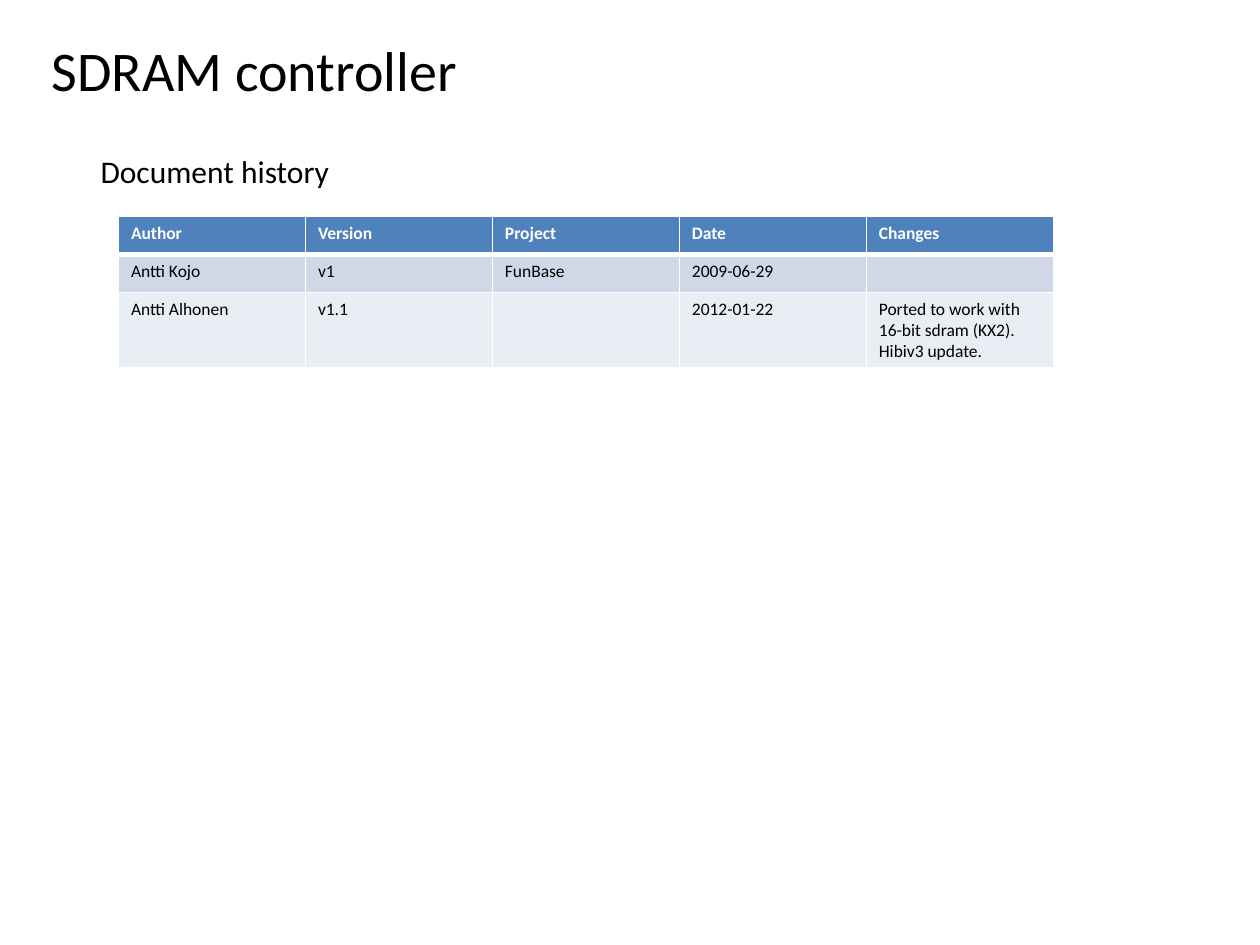
"""Build the SDRAM controller slide with its document history table."""
from lxml.etree import SubElement
from pptx import Presentation
from pptx.dml.color import RGBColor
from pptx.enum.text import MSO_ANCHOR, MSO_AUTO_SIZE, PP_ALIGN
from pptx.oxml.ns import qn
from pptx.util import Inches, Pt


def rgb(value):
    return RGBColor.from_string(value)


def add_run(p, text, size, color="000000", bold=False):
    r = p.add_run()
    r.text = text
    r.font.name = "Calibri"
    r.font.size = Pt(size)
    r.font.bold = bold
    r.font.color.rgb = rgb(color)


prs = Presentation()
prs.slide_width, prs.slide_height = Inches(10), Inches(7.5)
s = prs.slides.add_slide(prs.slide_layouts[5])

history = [
    ["Author", "Version", "Project", "Date", "Changes"],
    ["Antti Kojo", "v1", "FunBase", "2009-06-29", ""],
    ["Antti Alhonen", "v1.1", "", "2012-01-22",
     "Ported to work with 16-bit sdram (KX2). Hibiv3 update."],
]
fills = ["4F81BD", "D0D8E8", "E9EDF4"]
rows, cols = len(history), len(history[0])
table_w, row_h = Inches(7.42), Inches(0.3)

frame = s.shapes.add_table(
    rows, cols, Inches(0.94), Inches(1.72), table_w, row_h * rows)
table = frame.table
for i, values in enumerate(history):
    header = i == 0
    for j, value in enumerate(values):
        cell = table.cell(i, j)
        p = cell.text_frame.paragraphs[0]
        if value:
            add_run(p, value, 10, "FFFFFF" if header else "000000", header)
        else:
            SubElement(p._p, qn("a:endParaRPr"), sz="1000")
        tcPr = cell._tc.get_or_add_tcPr()
        for side in ("L", "R", "T", "B"):
            thick = (header and side == "B") or (i == 1 and side == "T")
            ln = SubElement(tcPr, qn(f"a:ln{side}"), w=str(Pt(3 if thick else 1)))
            fill = SubElement(ln, qn("a:solidFill"))
            SubElement(fill, qn("a:srgbClr"), val="FFFFFF")
        cell.fill.solid()
        cell.fill.fore_color.rgb = rgb(fills[i])
frame.height = row_h * (rows + 1)

sp = s.shapes.add_textbox(Inches(0.7), Inches(1.16), Inches(2.04), Inches(0.4))
tf = sp.text_frame
tf.word_wrap = False
tf.auto_size = MSO_AUTO_SIZE.SHAPE_TO_FIT_TEXT
add_run(tf.paragraphs[0], "Document history", 18)

sp = s.shapes.title
sp.left, sp.top = Inches(0.31), Inches(0.23)
sp.width, sp.height = Inches(6.88), Inches(0.64)
tf = sp.text_frame
tf.word_wrap = True
tf.auto_size = MSO_AUTO_SIZE.SHAPE_TO_FIT_TEXT
tf.vertical_anchor = MSO_ANCHOR.TOP
p = tf.paragraphs[0]
p.alignment = PP_ALIGN.LEFT
add_run(p, "SDRAM controller", 32)

prs.save("out.pptx")
